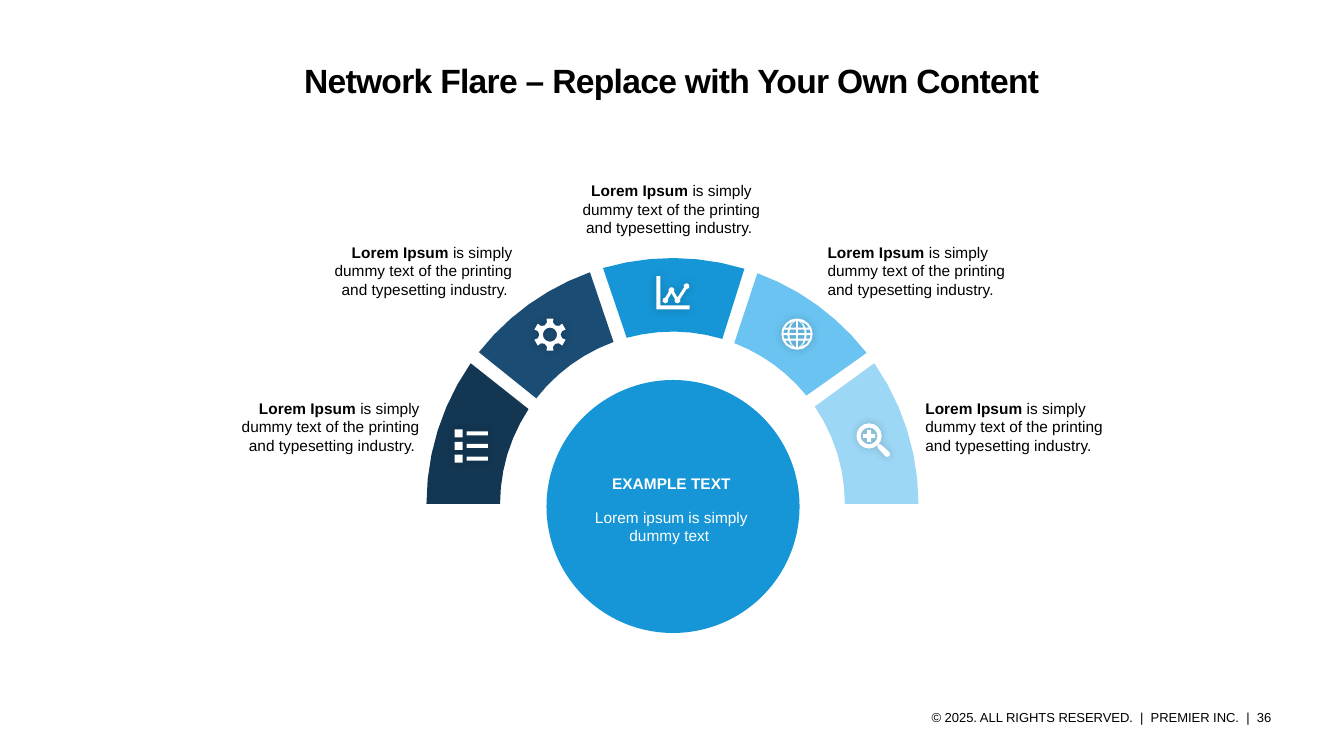
from math import asin, atan2, cos, degrees, pi, radians, sin, sqrt

from lxml import etree
from pptx import Presentation
from pptx.dml.color import RGBColor
from pptx.enum.shapes import MSO_SHAPE
from pptx.enum.text import MSO_ANCHOR, MSO_AUTO_SIZE, PP_ALIGN
from pptx.oxml.ns import qn
from pptx.util import Inches, Pt

LEFT, CENTER, RIGHT = PP_ALIGN.LEFT, PP_ALIGN.CENTER, PP_ALIGN.RIGHT
TOP, MIDDLE = MSO_ANCHOR.TOP, MSO_ANCHOR.MIDDLE
BLACK = RGBColor(0x00, 0x00, 0x00)
WHITE = RGBColor(0xFF, 0xFF, 0xFF)
NAVY = RGBColor(0x13, 0x36, 0x52)
DARK_BLUE = RGBColor(0x1B, 0x4C, 0x73)
BLUE = RGBColor(0x16, 0x96, 0xD6)
SKY = RGBColor(0x6A, 0xC3, 0xF0)
PALE = RGBColor(0x9C, 0xD7, 0xF5)

# Content
TITLE = "Network Flare – Replace with Your Own Content"
FOOTER = "© 2025. ALL RIGHTS RESERVED.  |  PREMIER INC.  |  36"
HUB_HEADING = "EXAMPLE TEXT"
HUB_TEXT = "Lorem ipsum is simply dummy text "
LABEL_LEAD = "Lorem Ipsum"
LABEL_TEXT = " is simply dummy text of the printing and typesetting industry."

# Label left, label top, alignment, text end
LABELS = [
    (2.22, 3.91, RIGHT, " "),
    (3.14, 2.36, RIGHT, " "),
    (5.64, 1.75, CENTER, " "),
    (8.11, 2.36, LEFT, ""),
    (9.08, 3.91, LEFT, ""),
]
# Colour, outer angles and inner angles, in degrees clockwise from the left end
SEGMENTS = [
    (NAVY, (0, 34.9), (0, 33.4)),
    (DARK_BLUE, (38.1, 70.4), (37.8, 70)),
    (BLUE, (73.6, 107), (74.6, 106.8)),
    (SKY, (110.2, 142.1), (111, 141)),
    (PALE, (145.1, 180), (145.6, 180)),
]
ARC_CENTER, OUTER_RADIUS, INNER_RADIUS = (6.67, 5), 2.44, 1.71


# Outlines, as lists of points in inches
def arc(center, radius, start, end, steps):
    angles = [radians(start + (end - start) * i / steps) for i in range(steps + 1)]
    return [(center[0] + radius * cos(a), center[1] + radius * sin(a)) for a in angles]


def circle(center, radius):
    return arc(center, radius, 0, 360, 16)[:-1]


def rectangle(x, y, width, height):
    return [(x, y), (x + width, y), (x + width, y + height), (x, y + height)]


def list_icon(x, y):
    contours = []
    for row in range(3):
        top = y + row * 0.125
        contours += [rectangle(x, top, 0.08, 0.08),
                     rectangle(x + 0.12, top + 0.02, 0.21, 0.04)]
    return contours


def gear_icon(x, y):
    teeth = []
    for angle in range(0, 360, 60):
        notch = (x + 0.155 * cos(radians(angle)), y + 0.155 * sin(radians(angle)))
        teeth += arc(notch, 0.05, angle + 270, angle + 90, 4)
    return [teeth, circle((x, y), 0.07)]


def chart_icon(x, y):
    axes = [(x, y), (x + 0.04, y), (x + 0.04, y + 0.29), (x + 0.33, y + 0.29),
            (x + 0.33, y + 0.33), (x, y + 0.33)]
    dots = [(x + dx, y + dy) for dx, dy in
            [(0.09, 0.24), (0.15, 0.14), (0.21, 0.24), (0.3, 0.1)]]
    radius, half_line = 0.03, 0.015
    spread = asin(half_line / radius)
    # Walk along one side of the line and back along the other
    tour = [0, 1, 2, 3, 2, 1]
    outline = []
    for i, stop in enumerate(tour):
        before, here, after = dots[tour[i - 1]], dots[stop], dots[tour[(i + 1) % 6]]
        start = atan2(before[1] - here[1], before[0] - here[0]) + spread
        end = atan2(after[1] - here[1], after[0] - here[0]) - spread
        while end <= start:
            end += 2 * pi
        outline += arc(here, radius, degrees(start), degrees(end), 5)
    return [axes, outline]


def globe_icon(x, y):
    rim = 0.135
    bands = [(-rim, -0.065), (-0.045, -0.01), (0.01, 0.045), (0.065, rim)]
    contours = [circle((x, y), 0.155)]
    for top, bottom in bands:
        levels = [top, (top + bottom) / 2, bottom]
        bends = [(dy, sqrt(1 - (dy / rim) ** 2)) for dy in levels]
        for near, far in [(0, 0.075), (0.095, rim)]:
            for side in (-1, 1):
                inner = [(x + side * max(0.01, near * b), y + dy) for dy, b in bends]
                outer = [(x + side * max(0.01, far * b), y + dy) for dy, b in bends]
                contours.append(inner + outer[::-1])
    return contours


def magnifier_icon(x, y):
    arm, half = 0.06, 0.02
    plus = []
    for dx, dy in [(1, 0), (0, 1), (-1, 0), (0, -1)]:
        for along, across in [(half, -half), (arm, -half), (arm, half)]:
            plus.append((x + along * dx - across * dy, y + along * dy + across * dx))
    handle = (arc((x + 0.106, y + 0.106), 0.024, 135, 315, 4)
              + arc((x + 0.18, y + 0.18), 0.028, -45, 135, 4))
    return [circle((x, y), 0.125), circle((x, y), 0.083), plus, handle]


ICONS = [
    list_icon(4.51, 4.26),
    gear_icon(5.455, 3.32),
    chart_icon(6.51, 2.74),
    globe_icon(7.905, 3.315),
    magnifier_icon(8.62, 4.325),
]


# Drawing helpers
def style_shape(shape, color):
    shape.shadow.inherit = False
    shape.fill.solid()
    shape.fill.fore_color.rgb = color
    shape.line.fill.background()


def add_outline(slide, contours, color):
    rings = [[(Inches(x), Inches(y)) for x, y in contour] for contour in contours]
    builder = slide.shapes.build_freeform(*rings[0][0], scale=1.0)
    builder.add_line_segments(rings[0][1:], close=True)
    for ring in rings[1:]:
        builder.move_to(*ring[0])
        builder.add_line_segments(ring[1:], close=True)
    shape = builder.convert_to_shape()
    style_shape(shape, color)
    return shape


def add_soft_shadow(shape):
    effects = shape._element.spPr.find(qn("a:effectLst"))
    shadow = etree.SubElement(effects, qn("a:outerShdw"), blurRad=str(Pt(6)),
                              dist="0", dir="13500000", algn="ctr", rotWithShape="0")
    tint = etree.SubElement(shadow, qn("a:srgbClr"), val="000000")
    etree.SubElement(tint, qn("a:alpha"), val="20000")


def write(box, runs, size, color, align, anchor=TOP):
    frame = box.text_frame
    frame.word_wrap = True
    frame.auto_size = MSO_AUTO_SIZE.NONE
    frame.vertical_anchor = anchor
    para = frame.paragraphs[0]
    para.alignment = align
    for text, bold in runs:
        span = para.add_run()
        span.text = text
        font = span.font
        font.name, font.size, font.bold = "Arial", Pt(size), bold
        font.color.rgb = color
    return para


def add_text(slide, area, *style):
    box = slide.shapes.add_textbox(*map(Inches, area))
    write(box, *style)
    return box


deck = Presentation()
deck.slide_width, deck.slide_height = Inches(13.33), Inches(7.5)
slide = deck.slides.add_slide(deck.slide_layouts[5])

# Title and footer
title = slide.shapes.title
title.left, title.top, title.width, title.height = map(Inches, (0.5, 0.43, 12.32, 0.78))
frame = title.text_frame
frame.margin_left = frame.margin_right = frame.margin_top = frame.margin_bottom = 0
para = write(title, [(TITLE, True)], 24, BLACK, CENTER, MIDDLE)
para.line_spacing = 0.86
para.runs[0].font._element.set("spc", "-50")
footer = add_text(slide, (8.3, 6.95, 4.49, 0.34), [(FOOTER, False)], 9.3, BLACK, RIGHT, MIDDLE)
footer.text_frame.margin_left = footer.text_frame.margin_right = Inches(0.18)

# Arc segments, then their icons
for color, outer, inner in SEGMENTS:
    outline = (arc(ARC_CENTER, OUTER_RADIUS, 180 + outer[0], 180 + outer[1], 6)
               + arc(ARC_CENTER, INNER_RADIUS, 180 + inner[1], 180 + inner[0], 6))
    add_outline(slide, [outline], color)
for contours in ICONS:
    add_soft_shadow(add_outline(slide, contours, WHITE))

# Hub
hub = slide.shapes.add_shape(MSO_SHAPE.OVAL, *map(Inches, (5.42, 3.77, 2.51, 2.51)))
style_shape(hub, BLUE)
add_text(slide, (5.68, 4.99, 1.96, 0.47), [(HUB_TEXT, False)], 11, WHITE, CENTER)
add_text(slide, (5.68, 4.65, 1.96, 0.29), [(HUB_HEADING, True)], 11, WHITE, CENTER)

# Labels around the arc
for left, top, align, ending in LABELS:
    runs = [(LABEL_LEAD, True), (LABEL_TEXT + ending, False)]
    add_text(slide, (left, top, 2.04, 0.66), runs, 11, BLACK, align)

deck.save("out.pptx")
